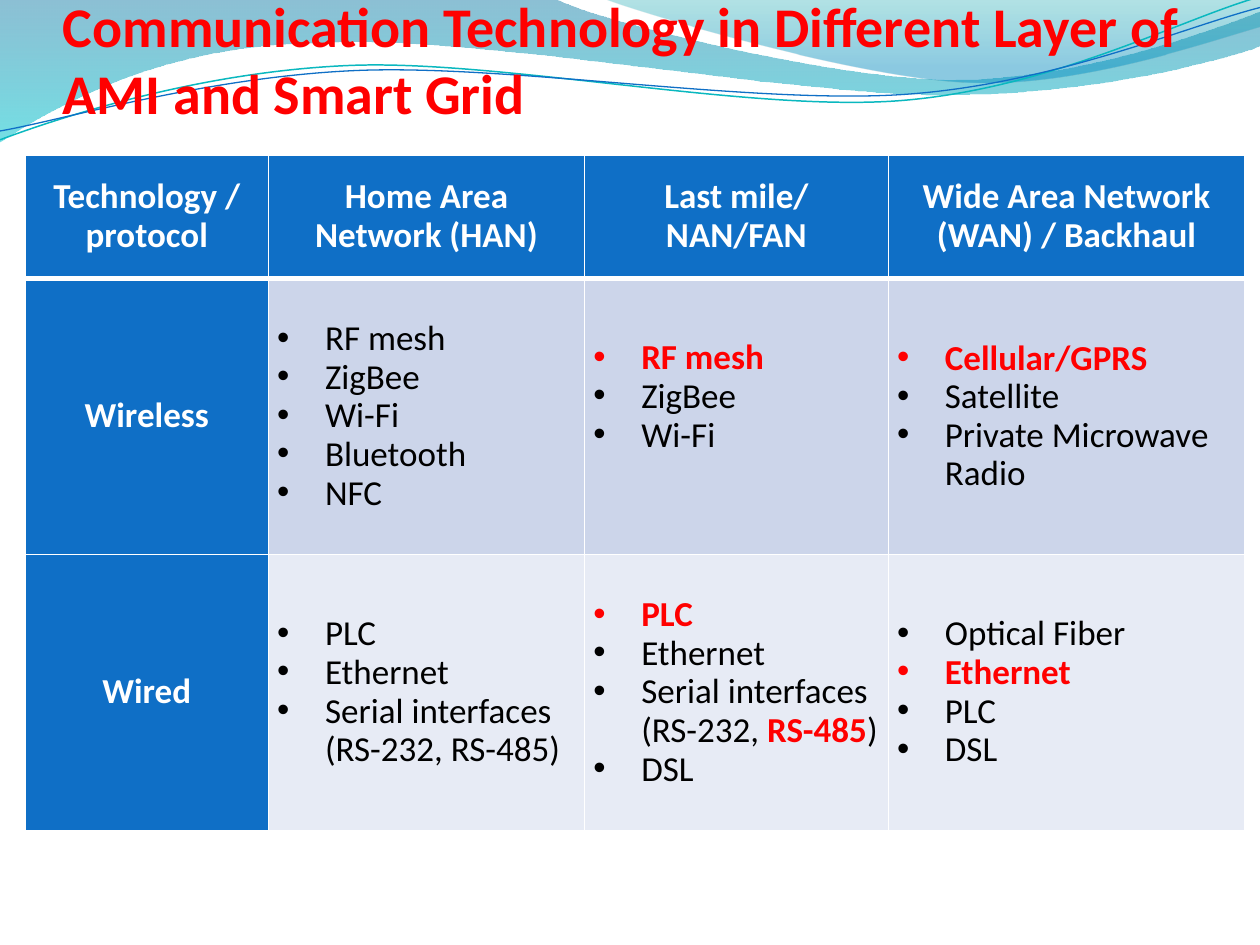
import math

import pptx
import pptx.util
import pptx.dml.color
import pptx.enum.text
import pptx.oxml.ns
import lxml.etree

Inches = pptx.util.Inches
Pt = pptx.util.Pt
qn = pptx.oxml.ns.qn
Align = pptx.enum.text.PP_ALIGN
Anchor = pptx.enum.text.MSO_ANCHOR

COLORS = {
    "white": "FFFFFF", "black": "000000", "red": "FF0000",
    "header": "0F6FC6", "wireless": "CCD5EA", "wired": "E7EBF5",
    "teal line": "0AB8BF", "blue line": "0F6FC6",
    "deep blue": "0074A1", "cyan": "00C6CF",
    "deep teal": "00A1A9", "sky": "008BBF",
}


def rgb(name):
    return pptx.dml.color.RGBColor.from_string(COLORS[name])


def turn(point, center, degrees):
    """Point turned clockwise about a center."""
    angle = math.radians(degrees)
    x, y = point[0] - center[0], point[1] - center[1]
    return (center[0] + x * math.cos(angle) - y * math.sin(angle),
            center[1] + x * math.sin(angle) + y * math.cos(angle))


class SlideBuilder:
    font = "Calibri"
    body_size = 20
    hanging = 0.38
    tilt = 2.7

    def __init__(self, slide):
        self.slide = slide

    def outline(self, start, parts, closed):
        """Freeform of parts with one point (line) or three points (curve)."""
        corners = [(Inches(x), Inches(y)) for x, y in
                   [start] + [part[-1] for part in parts]]
        builder = self.slide.shapes.build_freeform(*corners[0], scale=1.0)
        builder.add_line_segments(corners[1:], close=closed)
        shape = builder.convert_to_shape()
        shape.shadow.inherit = False
        lines = list(shape._element.iter(qn("a:lnTo")))
        for line, part in zip(lines, parts):
            if len(part) == 3:
                curve = lxml.etree.Element(qn("a:cubicBezTo"))
                for x, y in part:
                    lxml.etree.SubElement(curve, qn("a:pt"),
                                          x=str(Inches(x) - shape.left),
                                          y=str(Inches(y) - shape.top))
                line.getparent().replace(line, curve)
        return shape

    def wave(self, start, parts, stops):
        """Filled wave; stops are (position, color, opacity percent)."""
        shape = self.outline(start, parts, True)
        shape.line.fill.background()
        shape.fill.gradient()
        shape.fill.gradient_angle = 270
        for stop, (position, color, _) in zip(shape.fill.gradient_stops, stops):
            stop.position = position
            stop.color.rgb = rgb(color)
        tints = shape.fill._xPr.iter(qn("a:srgbClr"))
        for tint, (_, _, opacity) in zip(tints, stops):
            lxml.etree.SubElement(tint, qn("a:alpha"), val=str(opacity * 1000))

    def ribbon(self, start, parts, center, color, width):
        """Thin curve, kept as a level outline with a slight rotation."""
        level = [[turn(point, center, self.tilt) for point in part] for part in parts]
        shape = self.outline(turn(start, center, self.tilt), level, False)
        shape.rotation = 360 - self.tilt
        shape.fill.background()
        shape.line.color.rgb = rgb(color)
        shape.line.width = Pt(width)

    def span(self, para, text, size, color, bold):
        span = para.add_run()
        span.text = text
        span.font.name = self.font
        span.font.size = Pt(size)
        span.font.bold = bold
        span.font.color.rgb = rgb(color)

    def title(self, text, left, top, width, height):
        box = self.slide.shapes.add_textbox(
            Inches(left), Inches(top), Inches(width), Inches(height))
        frame = box.text_frame
        frame.word_wrap = True
        frame.auto_size = pptx.enum.text.MSO_AUTO_SIZE.NONE
        frame.vertical_anchor = Anchor.BOTTOM
        frame.margin_left = frame.margin_right = frame.margin_bottom = 0
        frame.margin_top = Inches(0.05)
        self.span(frame.paragraphs[0], text, 32, "red", True)

    def table(self, left, top, columns, rows):
        frame = self.slide.shapes.add_table(
            len(rows), len(columns), Inches(left), Inches(top),
            Inches(sum(columns)), Inches(sum(rows)))
        table = frame.table
        for column, width in zip(table.columns, columns):
            column.width = Inches(width)
        for row, height in zip(table.rows, rows):
            row.height = Inches(height)
        return table

    def cell(self, cell, fill, side_margin=0.07, bottom_margin=0):
        cell.margin_left = cell.margin_right = Inches(side_margin)
        cell.margin_top = 0
        cell.margin_bottom = Inches(bottom_margin)
        cell.vertical_anchor = Anchor.MIDDLE
        cell.fill.solid()
        cell.fill.fore_color.rgb = rgb(fill)

    def borders(self, cell, widths):
        """White borders, left, right, top and bottom."""
        properties = cell._tc.get_or_add_tcPr()
        for index, (side, width) in enumerate(zip("LRTB", widths)):
            line = lxml.etree.Element(qn("a:ln" + side), w=str(Pt(width)))
            solid = lxml.etree.SubElement(line, qn("a:solidFill"))
            lxml.etree.SubElement(solid, qn("a:srgbClr"), val=COLORS["white"])
            properties.insert(index, line)

    def label(self, cell, text):
        para = cell.text_frame.paragraphs[0]
        para.alignment = Align.CENTER
        para.line_spacing = 0.9
        self.span(para, text, self.body_size, "white", True)

    def bullets(self, cell, items):
        """Bulleted list; text between asterisks is bold red."""
        frame = cell.text_frame
        for index, item in enumerate(items):
            para = frame.add_paragraph() if index else frame.paragraphs[0]
            properties = para._p.get_or_add_pPr()
            properties.set("marL", str(Inches(self.hanging)))
            properties.set("indent", str(-Inches(self.hanging)))
            lxml.etree.SubElement(properties, qn("a:buFont"), typeface="Arial")
            lxml.etree.SubElement(properties, qn("a:buChar"), char="•")
            para.line_spacing = 0.9
            for part, text in enumerate(item.split("*")):
                if text:
                    marked = part % 2 == 1
                    self.span(para, text, self.body_size,
                              "red" if marked else "black", marked)


HEADINGS = ["Technology / protocol", "Home Area Network (HAN)",
            "Last mile/ NAN/FAN", "Wide Area Network (WAN) / Backhaul"]
SERIAL = "Serial interfaces (RS-232, "
TECHNOLOGIES = [
    ("Wireless", "wireless", [
        ["RF mesh", "ZigBee", "Wi-Fi", "Bluetooth", "NFC"],
        ["*RF mesh*", "ZigBee", "Wi-Fi"],
        ["*Cellular/GPRS*", "Satellite", "Private Microwave Radio"]]),
    ("Wired", "wired", [
        ["PLC", "Ethernet", SERIAL + "RS-485)"],
        ["*PLC*", "Ethernet", SERIAL + "*RS-485*)", "DSL"],
        ["Optical Fiber", "*Ethernet*", "PLC", "DSL"]]),
]


def main():
    deck = pptx.Presentation()
    deck.slide_width, deck.slide_height = Inches(10), Inches(7.5)
    page = SlideBuilder(deck.slides.add_slide(deck.slide_layouts[6]))

    # Waves along the top edge
    page.wave((0, -0.01), [
        [(4.4, -0.01)], [(4.76, 0.17), (6.64, 0.63), (7.58, 0.63)],
        [(8.53, 0.63), (9.58, 0.26), (10, 0.09)], [(10.01, 0.36)],
        [(9.83, 0.44), (8.7, 0.76), (7.46, 0.75)],
        [(6.22, 0.75), (3.82, 0.28), (2.57, 0.34)],
        [(1.29, 0.35), (0.46, 0.83), (-0.01, 1.13)]],
        [(0, "deep blue", 45), (1, "cyan", 55)])
    page.wave((4.79, -0.01), [
        [(5.09, 0.11), (6.82, 0.62), (7.69, 0.65)],
        [(8.56, 0.69), (9.61, 0.32), (10, 0.21)], [(10, 0)]],
        [(0, "deep teal", 30), (0.8, "sky", 45)])
    page.ribbon((0, 1.11), [
        [(0.48, 0.93), (1.58, 0.57), (2.77, 0.52)],
        [(3.95, 0.47), (5.93, 0.89), (7.13, 0.8)],
        [(8.33, 0.71), (9.38, 0.15), (9.98, -0.02)]], (4.99, 0.57), "teal line", 0.85)
    page.ribbon((0, 1.04), [
        [(0.47, 0.96), (1.64, 0.61), (2.83, 0.56)],
        [(4.03, 0.51), (5.97, 0.83), (7.17, 0.75)],
        [(8.36, 0.67), (9.41, 0.21), (10, 0.06)]], (5, 0.59), "blue line", 0.75)

    page.title("Communication Technology in Different Layer of AMI and Smart Grid",
               0.5, 0.3, 9, 0.7)

    # Technology table
    table = page.table(0.2, 1.23, [1.93, 2.51, 2.41, 2.83], [0.98, 2.19, 2.19])
    for column, heading in enumerate(HEADINGS):
        page.cell(table.cell(0, column), "header", side_margin=0.08)
        page.borders(table.cell(0, column), (1, 1, 1, 3))
        page.label(table.cell(0, column), heading)
    for row, (name, fill, lists) in enumerate(TECHNOLOGIES, 1):
        page.cell(table.cell(row, 0), "header")
        page.label(table.cell(row, 0), name)
        for column, items in enumerate(lists, 1):
            # The wireless last-mile list sits a little above the middle
            lift = 0.31 if (row, column) == (1, 2) else 0
            page.cell(table.cell(row, column), fill, bottom_margin=lift)
            page.bullets(table.cell(row, column), items)

    deck.save("out.pptx")


if __name__ == "__main__":
    main()
